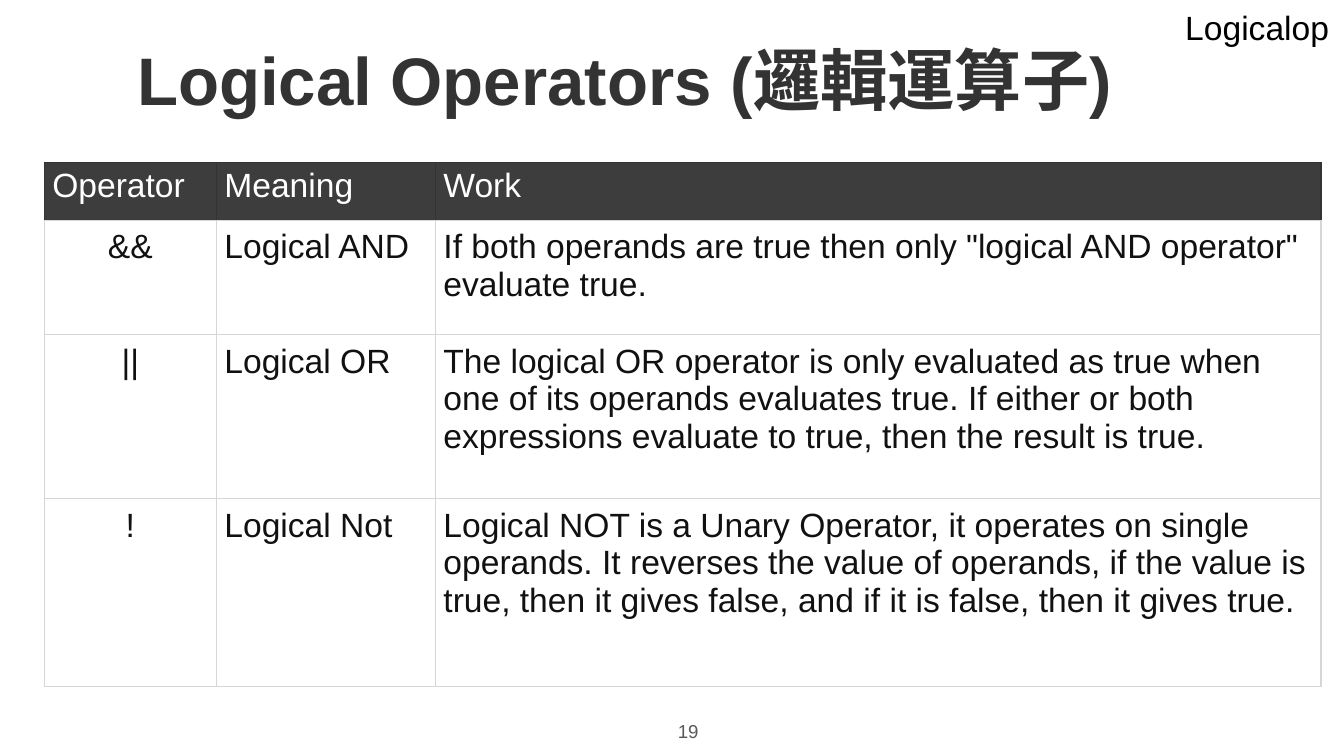
from lxml.etree import SubElement
from pptx import Presentation
from pptx.dml.color import RGBColor
from pptx.enum.text import MSO_ANCHOR, MSO_AUTO_SIZE, PP_ALIGN
from pptx.oxml.ns import qn
from pptx.util import Inches, Pt

COLORS = {
    "title": "333333",
    "number": "595959",
    "tag": "000000",
    "header": "3D3D3D",
    "header_text": "FFFFFF",
    "body": "FFFFFF",
    "body_text": "111111",
    "header_line": "333333",
    "line": "D6D6D6",
}
ROWS = [
    ("Operator", "Meaning", "Work"),
    ("&&", "Logical AND",
     'If both operands are true then only "logical AND operator" evaluate true.'),
    ("||", "Logical OR",
     "The logical OR operator is only evaluated as true when one of its operands "
     "evaluates true. If either or both expressions evaluate to true, then the "
     "result is true."),
    ("!", "Logical Not",
     "Logical NOT is a Unary Operator, it operates on single operands. It reverses "
     "the value of operands, if the value is true, then it gives false, and if it "
     "is false, then it gives true."),
]
COLUMN_WIDTHS = [1.28, 1.63, 6.59]
ROW_HEIGHTS = [0.43, 0.85, 1.22, 1.4]


def write(frame, text, size, color, bold=False, align=PP_ALIGN.LEFT):
    para = frame.paragraphs[0]
    para.text = text
    para.alignment = align
    para.font.name = "Arial"
    para.font.size = Pt(size)
    para.font.bold = bold
    para.font.color.rgb = RGBColor.from_string(COLORS[color])


def add_title(page, text):
    title = page.shapes.title
    title.left, title.top = Inches(0.92), Inches(0.23)
    title.width, title.height = Inches(8.67), Inches(0.71)
    frame = title.text_frame
    frame.auto_size = MSO_AUTO_SIZE.SHAPE_TO_FIT_TEXT
    frame.vertical_anchor = MSO_ANCHOR.MIDDLE
    write(frame, text, 36, "title", bold=True)


def add_label(page, text, left, top, width, height, size, color,
              align=PP_ALIGN.LEFT, wrap=True):
    box = page.shapes.add_textbox(
        Inches(left), Inches(top), Inches(width), Inches(height))
    box.text_frame.word_wrap = wrap
    write(box.text_frame, text, size, color, align=align)
    return box


def set_borders(cell, side_color, bottom_color):
    properties = cell._tc.get_or_add_tcPr()
    sides = {"L": side_color, "R": side_color, "T": side_color, "B": bottom_color}
    for side, color in sides.items():
        line = SubElement(properties, qn(f"a:ln{side}"), w=str(Pt(0.75)))
        fill = SubElement(line, qn("a:solidFill"))
        SubElement(fill, qn("a:srgbClr"), val=COLORS[color])


def format_cell(cell, text, is_header, align):
    set_borders(cell, "header_line" if is_header else "line", "line")
    kind = "header" if is_header else "body"
    cell.fill.solid()
    cell.fill.fore_color.rgb = RGBColor.from_string(COLORS[kind])
    cell.margin_left = cell.margin_right = Inches(0.06)
    cell.margin_top = cell.margin_bottom = Inches(0.03 if is_header else 0.06)
    write(cell.text_frame, text, 18, f"{kind}_text", align=align)


def add_operator_table(page):
    table = page.shapes.add_table(
        len(ROWS), len(COLUMN_WIDTHS), Inches(0.33), Inches(1.21),
        Inches(sum(COLUMN_WIDTHS)), Inches(sum(ROW_HEIGHTS))).table
    table.horz_banding = False
    for column, width in zip(table.columns, COLUMN_WIDTHS):
        column.width = Inches(width)
    for row, height in zip(table.rows, ROW_HEIGHTS):
        row.height = Inches(height)
    for r, texts in enumerate(ROWS):
        for c, text in enumerate(texts):
            centred = r > 0 and c == 0
            align = PP_ALIGN.CENTER if centred else PP_ALIGN.LEFT
            format_cell(table.cell(r, c), text, r == 0, align)


def main():
    deck = Presentation()
    deck.slide_width, deck.slide_height = Inches(10), Inches(10 * 9 / 16)
    page = deck.slides.add_slide(deck.slide_layouts[5])
    add_title(page, "Logical Operators (邏輯運算子)")
    add_label(page, "19", 4.83, 5.31, 0.58, 0.31, 10, "number",
              align=PP_ALIGN.CENTER)
    add_operator_table(page)
    tag = add_label(page, "Logicalop", 8.72, 0, 1.28, 0.4, 18, "tag", wrap=False)
    tag.text_frame.auto_size = MSO_AUTO_SIZE.SHAPE_TO_FIT_TEXT
    deck.save("out.pptx")


if __name__ == "__main__":
    main()
